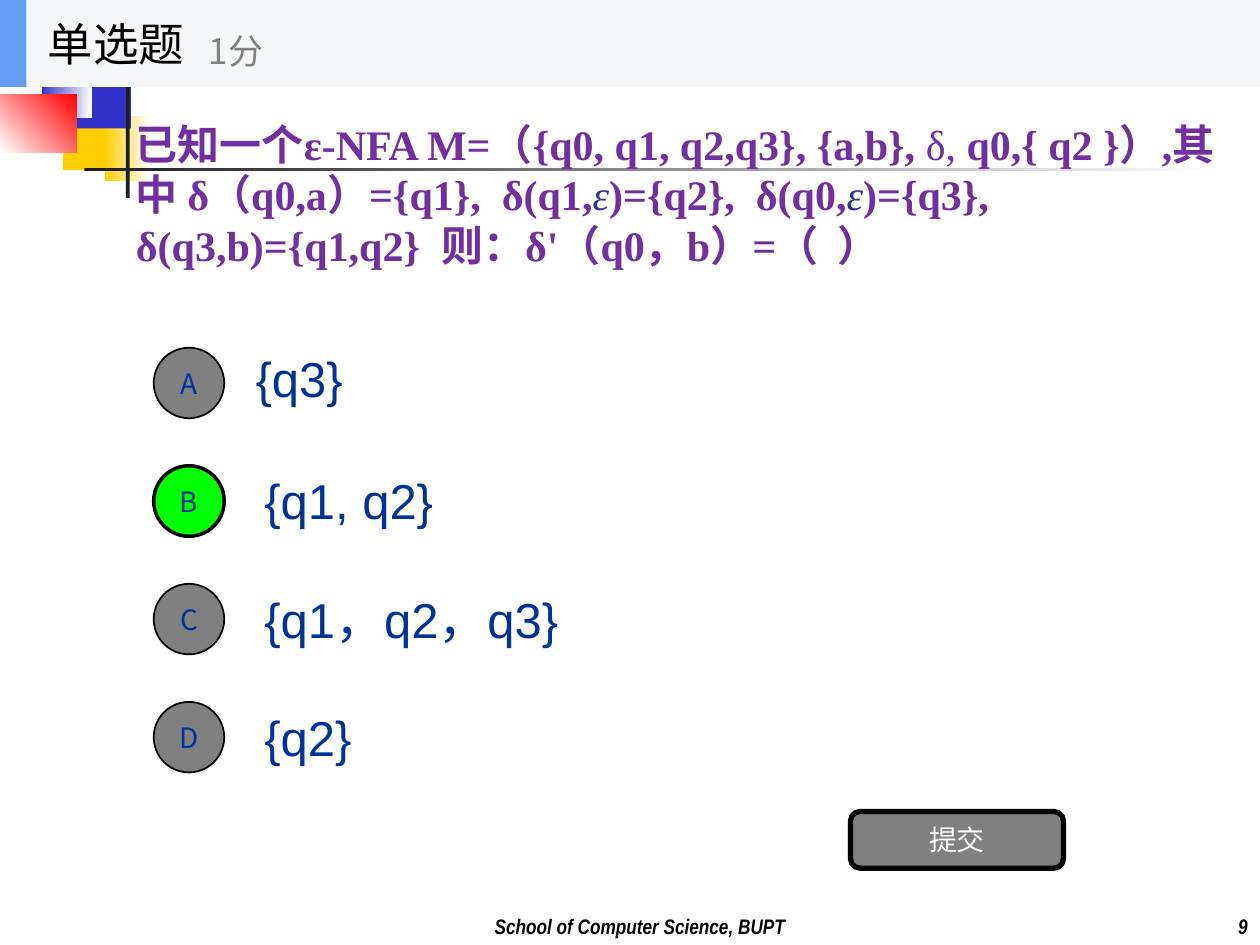
"""Build the single-choice quiz slide about an ε-NFA transition."""
from pptx import Presentation
from pptx.dml.color import RGBColor
from pptx.enum.shapes import MSO_SHAPE
from pptx.enum.text import MSO_ANCHOR, PP_ALIGN
from pptx.oxml.ns import qn
from pptx.util import Inches, Pt
from lxml import etree

RECT, OVAL, ROUNDED = MSO_SHAPE.RECTANGLE, MSO_SHAPE.OVAL, MSO_SHAPE.ROUNDED_RECTANGLE
LEFT, CENTER, RIGHT = PP_ALIGN.LEFT, PP_ALIGN.CENTER, PP_ALIGN.RIGHT
MIDDLE, BOTTOM = MSO_ANCHOR.MIDDLE, MSO_ANCHOR.BOTTOM
SANS, SERIF, NARROW, CJK = "Arial", "Times New Roman", "Arial Narrow", "Noto Sans CJK SC"

COLORS = {
    "yellow": "FFCF01", "blue": "3333CC", "red": "FF0000", "ink": "1C1C1C",
    "white": "FFFFFF", "black": "000000", "gray": "808080", "green": "00FF00",
    "purple": "7030A0", "indigo": "333399", "navy": "003399",
    "header": "F6F7F8", "accent": "639EF4",
}

DECORATIONS = [
    ((0.5, 0.83, 0.48, 0.52), ("yellow",), 0),
    ((0.83, 0.92, 0.36, 0.52), ("yellow", "white"), 0),
    ((0.58, 0.5, 0.46, 0.52), ("blue",), 0),
    ((0.33, 0.42, 0.4, 0.52), ("blue", "white"), 0),
    ((0, 0.75, 0.61, 0.46), ("white", "red"), 45),
    ((1, 0.42, 0.03, 1.15), ("ink",), 0),
    ((0.67, 1.33, 9, 0.03), ("ink", "white"), 0),
]
EPSILON = ("ε", {"color": "indigo", "bold": False, "italic": True})
QUESTION = [
    ("已知一个ε-NFA M=（{q0, q1, q2,q3}, {a,b}, ", {}),
    ("δ, ", {"bold": False}),
    ("q0,{ q2 }）,其中 δ（q0,a）={q1},  δ(q1,", {}),
    EPSILON,
    (")={q2},  δ(q0,", {}),
    EPSILON,
    (")={q3},  δ(q3,b)={q1,q2}  则：δ'（q0，b）=（  ）", {}),
]
OPTIONS = [
    ("A", "{q3}", (1.93, 2.65)),
    ("B", "{q1, q2}", (2, 3.62)),
    ("C", "{q1，q2，q3}", (2, 4.56)),
    ("D", "{q2}", (2, 5.5)),
]
ANSWER = "B"
BADGE_LEFT, BADGE_TOP, BADGE_SIZE, BADGE_STEP = 1.22, 2.76, 0.56, 0.937
HEADER_HEIGHT = 0.69


def rgb(color):
    return RGBColor.from_string(COLORS[color])


def write(holder, text, align=LEFT, anchor=MIDDLE, inset=0.1, spacing=None, **style):
    """Write a string, or a list of (string, overrides) runs, into a shape."""
    frame = holder.text_frame
    frame.word_wrap = True
    frame.vertical_anchor = anchor
    frame.margin_left = frame.margin_right = Inches(inset)
    frame.margin_top = frame.margin_bottom = Inches(inset / 2)
    paragraph = frame.paragraphs[0]
    paragraph.alignment = align
    if spacing:
        paragraph.line_spacing = spacing
    for words, overrides in [(text, {})] if isinstance(text, str) else text:
        look = {"bold": False, "italic": False, **style, **overrides}
        run = paragraph.add_run()
        run.text = words
        font = run.font
        font.name, font.size = look["font"], Pt(look["size"])
        font.bold, font.italic = look["bold"], look["italic"]
        font.color.rgb = rgb(look["color"])
        etree.SubElement(font._element, qn("a:ea"), typeface=CJK)


def add_text(slide, box, text, **style):
    write(slide.shapes.add_textbox(*map(Inches, box)), text, **style)


def add_block(slide, box, fills, kind=RECT, angle=0, border=None):
    block = slide.shapes.add_shape(kind, *map(Inches, box))
    block.shadow.inherit = False
    if len(fills) == 1:
        block.fill.solid()
        block.fill.fore_color.rgb = rgb(fills[0])
    else:
        block.fill.gradient()
        block.fill.gradient_angle = angle
        for stop, color in zip(block.fill.gradient_stops, fills):
            stop.color.rgb = rgb(color)
    if border:
        block.line.color.rgb = rgb("black")
        block.line.width = Pt(border)
    else:
        block.line.fill.background()
    return block


def main():
    deck = Presentation()
    deck.slide_width, deck.slide_height = Inches(10), Inches(7.5)
    slide = deck.slides.add_slide(deck.slide_layouts[6])

    for box, fills, angle in DECORATIONS:
        add_block(slide, box, fills, angle=angle)

    footer = {"anchor": BOTTOM, "font": NARROW, "size": 12, "color": "black",
              "bold": True, "italic": True}
    add_text(slide, (8.33, 7, 1.67, 0.5), "9", align=RIGHT, **footer)
    add_text(slide, (1.58, 7, 7, 0.5), "School of Computer Science, BUPT",
             align=CENTER, spacing=1.1, **footer)
    add_text(slide, (0.98, 0.37, 8.88, 2.34), QUESTION,
             font=SERIF, size=24, color="purple", bold=True)

    for row, (letter, choice, corner) in enumerate(OPTIONS):
        add_text(slide, (*corner, 7, 0.7), choice, font=SANS, size=28, color="navy")
        correct = letter == ANSWER
        badge_box = (BADGE_LEFT, BADGE_TOP + row * BADGE_STEP, BADGE_SIZE, BADGE_SIZE)
        badge = add_block(slide, badge_box, ("green" if correct else "gray",),
                          kind=OVAL, border=2 if correct else 1)
        write(badge, letter, align=CENTER, inset=0, font=CJK, size=16, color="navy")

    submit = add_block(slide, (6.75, 6.44, 1.69, 0.45), ("gray",), kind=ROUNDED, border=3)
    write(submit, "提交", align=CENTER, inset=0, font=CJK, size=16, color="white")

    add_block(slide, (0, 0, 10, HEADER_HEIGHT), ("header",))
    add_block(slide, (0, 0, 0.21, HEADER_HEIGHT), ("accent",))
    add_text(slide, (0.28, 0, 2.08, HEADER_HEIGHT), "单选题", font=CJK, size=26, color="black")
    add_text(slide, (1.56, 0.12, 2.5, 0.56), "1分", font=CJK, size=20, color="gray")

    deck.save("out.pptx")


if __name__ == "__main__":
    main()
